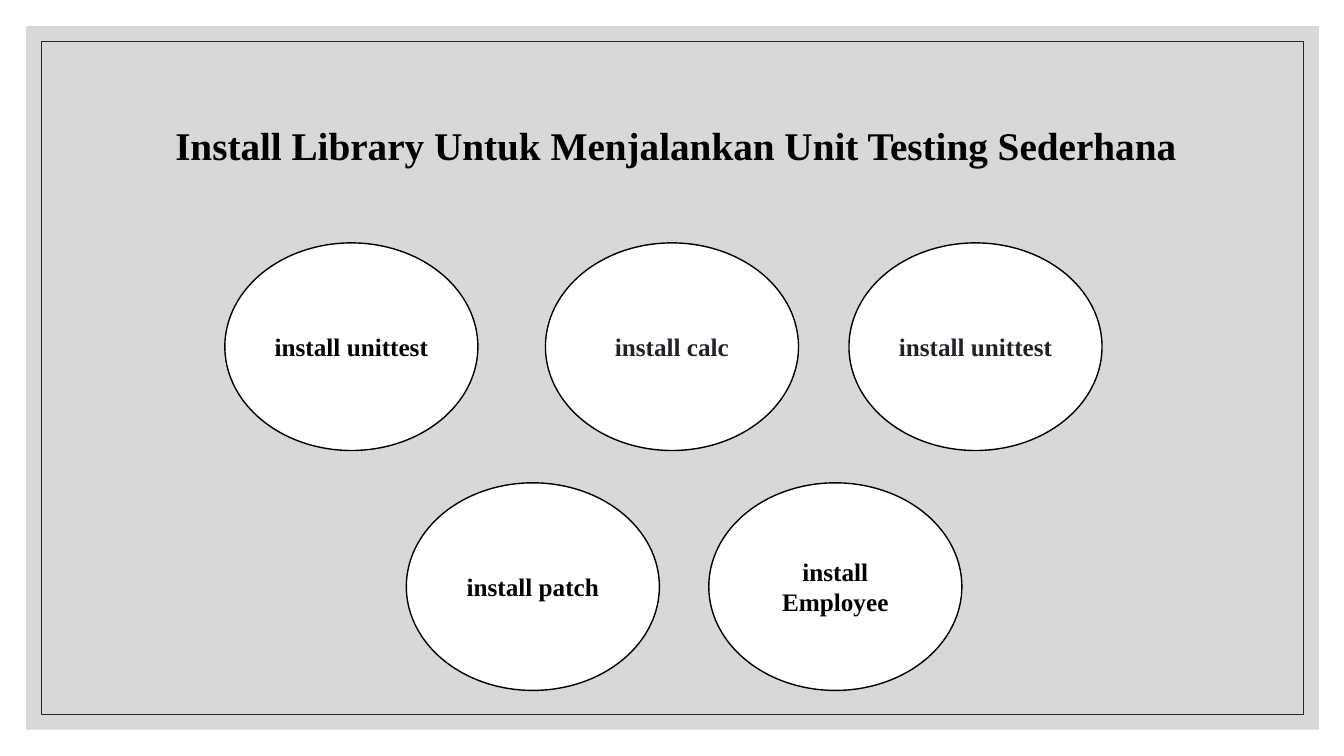
"""Build the slide that lists the libraries to install for simple unit testing."""
from dataclasses import dataclass

from lxml import etree
from pptx import Presentation
from pptx.dml.color import RGBColor
from pptx.enum import shapes, text
from pptx.oxml import ns
from pptx.util import Emu, Pt

PX = 9144
BLACK = RGBColor(0x00, 0x00, 0x00)
WHITE = RGBColor(0xFF, 0xFF, 0xFF)
INK = RGBColor(0x1F, 0x23, 0x28)
FRAME_LINE = RGBColor(0x26, 0x26, 0x26)
PANEL_GRAY = RGBColor(0xBF, 0xBF, 0xBF)

OVAL_WIDTH, OVAL_HEIGHT = 251, 206
TOP_ROW, BOTTOM_ROW = 241, 479


@dataclass(frozen=True)
class Box:
    left: int
    top: int
    width: int
    height: int

    def emu(self) -> list[Emu]:
        return [Emu(px * PX) for px in (self.left, self.top, self.width, self.height)]


@dataclass(frozen=True)
class Step:
    label: str
    left: int
    top: int
    color: RGBColor = BLACK


STEPS = [
    Step("install unittest", 223, TOP_ROW),
    Step("install patch", 403, BOTTOM_ROW),
    Step("install unittest", 842, TOP_ROW, INK),
    Step("install calc", 541, TOP_ROW, INK),
    Step("install Employee", 703, BOTTOM_ROW),
]


def add_shape(slide, kind, box: Box, fill: RGBColor | None = None,
              line: RGBColor | None = None, line_width: float = 1):
    shape = slide.shapes.add_shape(kind, *box.emu())
    shape.shadow.inherit = False
    if fill is None:
        shape.fill.background()
    else:
        shape.fill.solid()
        shape.fill.fore_color.rgb = fill
    if line is None:
        shape.line.fill.background()
    else:
        shape.line.color.rgb = line
        shape.line.width = Pt(line_width)
    return shape


def set_opacity(shape, percent: int) -> None:
    color = shape.fill._xPr.find(ns.qn("a:solidFill"))[0]
    etree.SubElement(color, ns.qn("a:alpha"), val=str(percent * 1000))


def write(shape, content: str, size: int, color: RGBColor, alignment) -> None:
    paragraph = shape.text_frame.paragraphs[0]
    paragraph.alignment = alignment
    run = paragraph.add_run()
    run.text = content
    font_format = {"name": "Times New Roman", "size": Pt(size), "bold": True}
    for name, value in font_format.items():
        setattr(run.font, name, value)
    run.font.color.rgb = color


def add_background(slide) -> None:
    rectangle = shapes.MSO_SHAPE.RECTANGLE
    panel = add_shape(slide, rectangle, Box(26, 26, 1282, 698), fill=PANEL_GRAY)
    set_opacity(panel, 60)
    add_shape(slide, rectangle, Box(41, 41, 1252, 668), line=FRAME_LINE, line_width=0.5)


def add_title(slide, content: str) -> None:
    title = slide.shapes.add_textbox(*Box(164, 115, 1024, 57).emu())
    title.text_frame.word_wrap = False
    title.text_frame.auto_size = text.MSO_AUTO_SIZE.SHAPE_TO_FIT_TEXT
    write(title, content, 28, BLACK, text.PP_ALIGN.LEFT)


def add_step(slide, step: Step) -> None:
    box = Box(step.left, step.top, OVAL_WIDTH, OVAL_HEIGHT)
    oval = add_shape(slide, shapes.MSO_SHAPE.OVAL, box, fill=WHITE, line=BLACK)
    oval.text_frame.word_wrap = True
    oval.text_frame.vertical_anchor = text.MSO_ANCHOR.MIDDLE
    write(oval, step.label, 18, step.color, text.PP_ALIGN.CENTER)


def main() -> None:
    presentation = Presentation()
    presentation.slide_width = Emu(1333 * PX)
    presentation.slide_height = Emu(750 * PX)
    slide = presentation.slides.add_slide(presentation.slide_layouts[6])
    add_background(slide)
    add_title(slide, "Install Library Untuk Menjalankan Unit Testing Sederhana")
    for step in STEPS:
        add_step(slide, step)
    presentation.save("out.pptx")


if __name__ == "__main__":
    main()
